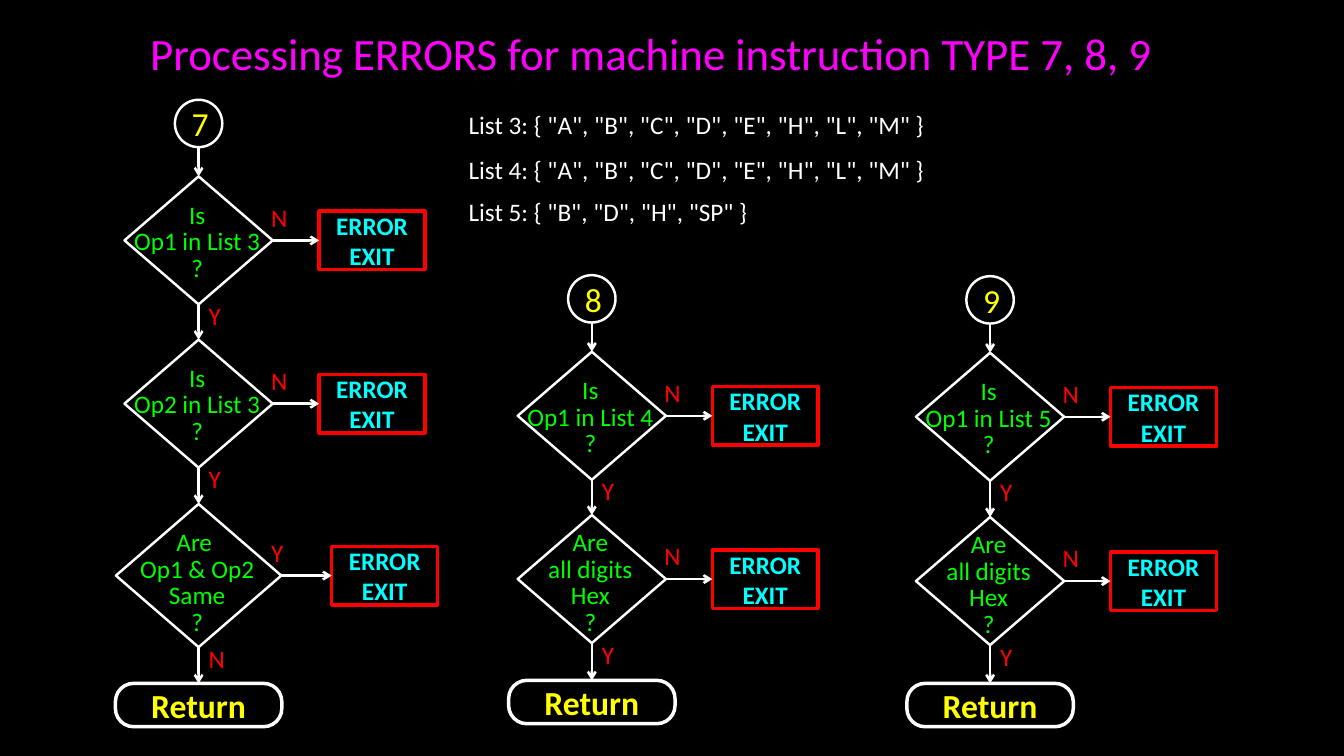
"""Build the flowchart slide for errors in machine instruction types 7, 8 and 9."""
from dataclasses import dataclass

from lxml import etree
from pptx import Presentation
from pptx.dml.color import RGBColor
from pptx.enum.shapes import MSO_CONNECTOR, MSO_SHAPE
from pptx.enum.text import MSO_ANCHOR, MSO_AUTO_SIZE, PP_ALIGN
from pptx.oxml.ns import qn
from pptx.util import Inches, Pt

CIRCLE = MSO_SHAPE.FLOWCHART_CONNECTOR
DIAMOND = MSO_SHAPE.DIAMOND
RECTANGLE = MSO_SHAPE.RECTANGLE
ROUNDED = MSO_SHAPE.ROUNDED_RECTANGLE
STRAIGHT = MSO_CONNECTOR.STRAIGHT
TOP, MIDDLE = MSO_ANCHOR.TOP, MSO_ANCHOR.MIDDLE
LEFT, CENTER = PP_ALIGN.LEFT, PP_ALIGN.CENTER
NO_AUTOFIT = MSO_AUTO_SIZE.NONE
SITE_TOP, SITE_LEFT, SITE_BOTTOM, SITE_RIGHT = range(4)

COLORS = {
    "background": "000000",
    "title": "FF00FF",
    "line": "FFFFFF",
    "list": "FFFFFF",
    "terminal": "FFFF00",
    "question": "00FF00",
    "answer": "FF0000",
    "error_border": "FF0000",
    "error_text": "00FFFF",
}
FONT = "Calibri"
CIRCLE_SIZE = 0.47
ERROR_WIDTH, ERROR_HEIGHT = 1.05, 0.58
RETURN_WIDTH, RETURN_HEIGHT = 1.65, 0.43
QUESTION_WIDTH = 1.69


@dataclass
class Decision:
    """One diamond with its question and the answers on its two exits."""

    top: float
    question: tuple
    text_offset: float = 0.21
    width: float = 1.47
    height: float = 1.27
    error_answer: str = "N"
    next_answer: str = "Y"
    error_gap: float = 0.46


HEX_QUESTION = ("Are", "all digits", "Hex", "?")
FLOWS = [
    ("7", 1.97, 0.99, 6.78, [
        Decision(1.75, ("Is", "Op1 in List 3", "?")),
        Decision(3.37, ("Is", "Op2 in List 3", "?")),
        Decision(5, ("Are ", "Op1 & Op2", "Same", "?"), width=1.64, height=1.42,
                 error_answer="Y", next_answer="N", error_gap=0.5),
    ]),
    ("8", 5.87, 2.73, 6.75, [
        Decision(3.49, ("Is", "Op1 in List 4", "?")),
        Decision(5.11, HEX_QUESTION, text_offset=0.1),
    ]),
    ("9", 9.82, 2.74, 6.78, [
        Decision(3.5, ("Is", "Op1 in List 5", "?")),
        Decision(5.13, HEX_QUESTION, text_offset=0.1),
    ]),
]
LISTS = [
    (1.04, 'List 3: { "A", "B", "C", "D", "E", "H", "L", "M" }'),
    (1.48, 'List 4: { "A", "B", "C", "D", "E", "H", "L", "M" }'),
    (1.9, 'List 5: { "B", "D", "H", "SP" }'),
]


def rgb(name):
    """Return the named colour."""
    return RGBColor.from_string(COLORS[name])


def write(shape, lines, color, size=18, bold=False, align=LEFT, anchor=TOP,
          spacing=None, inset=None):
    """Write one paragraph per line into a shape."""
    frame = shape.text_frame
    frame.word_wrap = True
    frame.auto_size = NO_AUTOFIT
    frame.vertical_anchor = anchor
    if inset is not None:
        frame.margin_left = frame.margin_right = Inches(inset)
        frame.margin_top = frame.margin_bottom = Inches(inset)
    for index, line in enumerate(lines):
        paragraph = frame.add_paragraph() if index else frame.paragraphs[0]
        paragraph.alignment = align
        if spacing:
            paragraph.line_spacing = Pt(spacing)
        run = paragraph.add_run()
        run.text = line
        run.font.name = FONT
        run.font.size = Pt(size)
        run.font.bold = bold
        run.font.color.rgb = rgb(color)


def add_text(slide, left, top, width, height, lines, color, **style):
    """Add a text box."""
    box = slide.shapes.add_textbox(Inches(left), Inches(top), Inches(width), Inches(height))
    write(box, lines, color, **style)


def add_answer(slide, left, top, answer):
    """Add the letter beside an exit of a diamond."""
    add_text(slide, left, top, 0.67, 0.3, [answer], "answer", inset=0)


def add_outline(slide, kind, left, top, width, height, color="line", weight=1.75):
    """Add an unfilled preset shape."""
    shape = slide.shapes.add_shape(
        kind, Inches(left), Inches(top), Inches(width), Inches(height))
    shape.shadow.inherit = False
    shape.fill.background()
    shape.line.color.rgb = rgb(color)
    shape.line.width = Pt(weight)
    return shape


def add_arrow(slide, source, source_site, target, target_site):
    """Add an arrow from one shape to another."""
    start_x = source.left + source.width // 2
    start_y = source.top + source.height
    arrow = slide.shapes.add_connector(STRAIGHT, start_x, start_y, start_x, target.top)
    if source_site is not None:
        arrow.begin_connect(source, source_site)
    arrow.end_connect(target, target_site)
    arrow.line.color.rgb = rgb("line")
    arrow.line.width = Pt(1.75)
    etree.SubElement(arrow.line._get_or_add_ln(), qn("a:tailEnd"), type="arrow")
    etree.SubElement(arrow._element.spPr, qn("a:effectLst"))


def add_decision(slide, center, decision):
    """Add a diamond with its question, error exit and answers."""
    middle = decision.top + decision.height / 2
    right = center + decision.width / 2
    diamond = add_outline(slide, DIAMOND, center - decision.width / 2, decision.top,
                          decision.width, decision.height)
    add_text(slide, center - 0.86, decision.top + decision.text_offset, QUESTION_WIDTH,
             0.11 + 0.26 * len(decision.question), decision.question, "question",
             align=CENTER, spacing=19)
    error = add_outline(slide, RECTANGLE, right + decision.error_gap,
                        middle - ERROR_HEIGHT / 2, ERROR_WIDTH, ERROR_HEIGHT,
                        "error_border", 2.5)
    write(error, ["ERROR", "EXIT"], "error_text", bold=True, align=CENTER, anchor=MIDDLE)
    add_arrow(slide, diamond, SITE_RIGHT, error, SITE_LEFT)
    add_answer(slide, center + 0.72, middle - 0.38, decision.error_answer)
    add_answer(slide, center + 0.1, decision.top + decision.height - 0.04,
               decision.next_answer)
    return diamond


def add_flow(slide, number, center, circle_top, return_top, decisions):
    """Add one column from its numbered circle down to Return."""
    previous = add_outline(slide, CIRCLE, center - CIRCLE_SIZE / 2, circle_top,
                           CIRCLE_SIZE, CIRCLE_SIZE)
    write(previous, [number], "terminal", size=24, align=CENTER, anchor=MIDDLE)
    site = None
    for decision in decisions:
        diamond = add_decision(slide, center, decision)
        add_arrow(slide, previous, site, diamond, SITE_TOP)
        previous, site = diamond, SITE_BOTTOM
    end = add_outline(slide, ROUNDED, center - RETURN_WIDTH / 2, return_top,
                      RETURN_WIDTH, RETURN_HEIGHT, weight=2.5)
    end.adjustments[0] = 0.42
    write(end, ["Return"], "terminal", size=24, bold=True, align=CENTER, anchor=MIDDLE)
    add_arrow(slide, previous, site, end, SITE_TOP)


def main():
    """Build and save the slide."""
    presentation = Presentation()
    presentation.slide_width = Inches(13.33)
    presentation.slide_height = Inches(7.5)
    slide = presentation.slides.add_slide(presentation.slide_layouts[5])
    slide.background.fill.solid()
    slide.background.fill.fore_color.rgb = rgb("background")
    title = slide.shapes.title
    title.left, title.top = Inches(1.39), Inches(0.2)
    title.width, title.height = Inches(10.71), Inches(0.64)
    write(title, ["Processing ERRORS for machine instruction TYPE 7, 8, 9"], "title", size=32)
    for top, text in LISTS:
        add_text(slide, 4.55, top, 6.66, 0.4, [text], "list")
    for flow in FLOWS:
        add_flow(slide, *flow)
    presentation.save("out.pptx")


if __name__ == "__main__":
    main()
